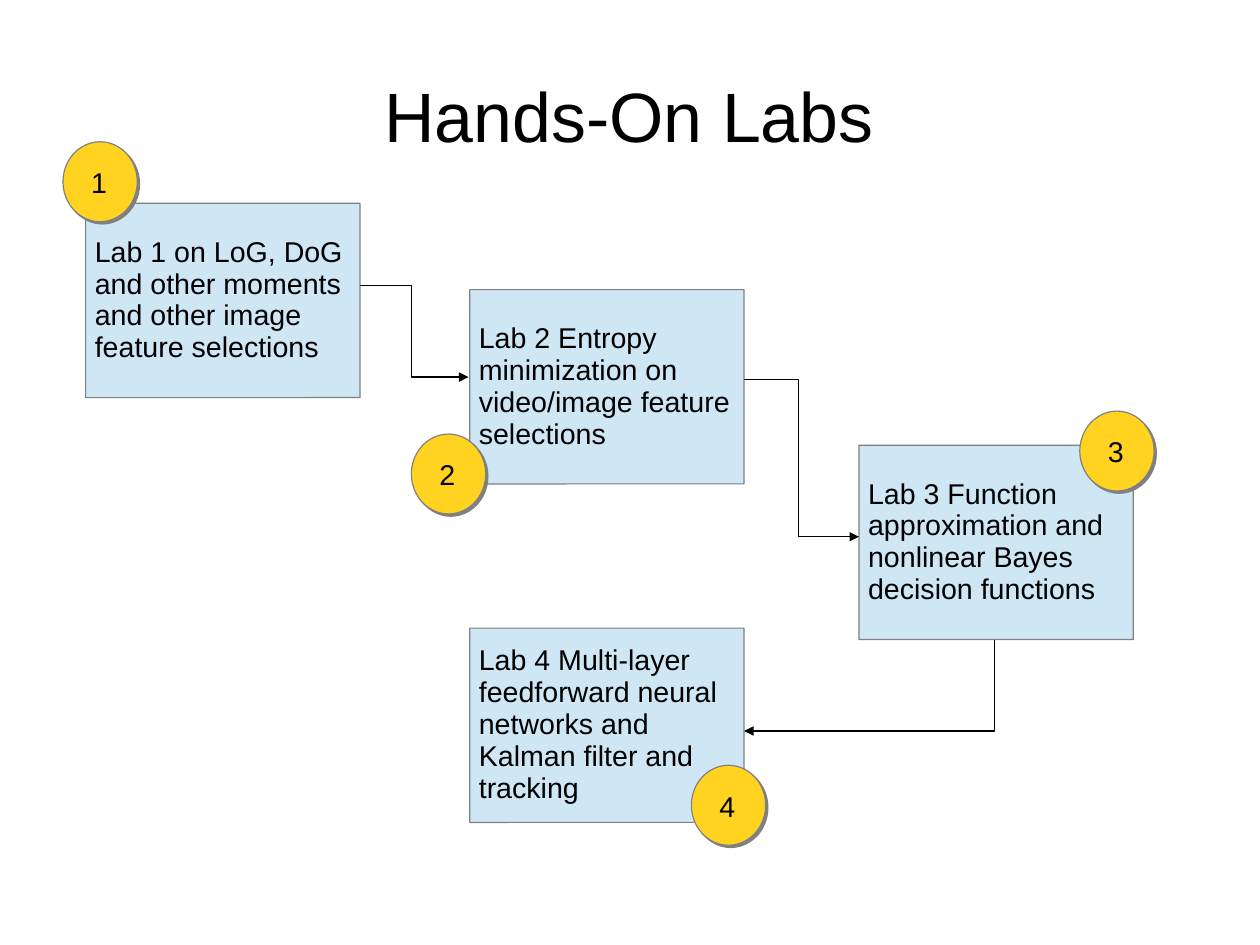
from lxml import etree
from pptx import Presentation
from pptx import util as u
from pptx.dml.color import RGBColor
from pptx.enum import shapes, text
from pptx.oxml import ns

SLIDE_W, SLIDE_H = u.Cm(28), u.Cm(21)
BLACK = RGBColor(0x00, 0x00, 0x00)
GREY = RGBColor(0x80, 0x80, 0x80)
PALE_BLUE = RGBColor(0xCF, 0xE7, 0xF5)
YELLOW = RGBColor(0xFF, 0xD3, 0x20)

# Positions and sizes are percentages of the slide's width and height.
LAB_SIZE = (21.78, 20.56)
BADGE_SIZE = (5.9, 8.46)
LABS = [  # text, box corner, badge corner
    ("Lab 1 on LoG, DoG and other moments and other image feature selections",
     (6.8, 21.52), (5, 15)),
    ("Lab 2 Entropy minimization on video/image feature selections",
     (37.28, 30.65), (32.65, 45.93)),
    ("Lab 3 Function approximation and nonlinear Bayes decision functions",
     (68.17, 47.12), (85.7, 43.5)),
    ("Lab 4 Multi-layer feedforward neural networks and Kalman filter and tracking",
     (37.28, 66.47), (54.87, 80.98)),
]
ROUTES = [
    [(28.58, 30.2), (32.65, 30.2), (32.65, 39.9), (37.18, 39.9)],
    [(59.06, 40.12), (63.4, 40.12), (63.4, 56.8), (68.17, 56.8)],
    [(78.92, 67.68), (78.92, 77.35), (59.06, 77.35)],
]

LAB_FRAME = dict(margin_left=u.Inches(0.08), margin_right=u.Inches(0.01),
                 margin_top=u.Inches(0.05), margin_bottom=u.Inches(0.05),
                 word_wrap=True)
BADGE_FRAME = dict(margin_left=0, margin_right=u.Inches(0.02),
                   margin_top=u.Inches(0.04), margin_bottom=0, word_wrap=False)
TITLE_FRAME = dict(margin_left=0, margin_right=0, margin_top=u.Inches(0.04),
                   margin_bottom=0, word_wrap=True,
                   auto_size=text.MSO_AUTO_SIZE.NONE)


def on_slide(pair):
    """Turn a pair of percentages into slide lengths."""
    return round(SLIDE_W * pair[0] / 100), round(SLIDE_H * pair[1] / 100)


def set_all(target, values):
    for name, value in values.items():
        setattr(target, name, value)


def write(shape, wording, size, align, frame_format):
    frame = shape.text_frame
    frame.text = wording
    set_all(frame, frame_format)
    frame.vertical_anchor = text.MSO_ANCHOR.MIDDLE
    paragraph = frame.paragraphs[0]
    set_all(paragraph, dict(alignment=align, line_spacing=0.93))
    font = paragraph.runs[0].font
    set_all(font, dict(name="Arial", size=u.Pt(size)))
    font.color.rgb = BLACK


def draw_line(shape, color):
    shape.shadow.inherit = False
    shape.line.color.rgb = color
    shape.line.width = u.Pt(0.75)


def add_filled(slide, preset, corner, size, fill):
    shape = slide.shapes.add_shape(preset, *on_slide(corner), *on_slide(size))
    shape.fill.solid()
    shape.fill.fore_color.rgb = fill
    draw_line(shape, GREY)
    return shape


def add_lab(slide, wording, corner):
    box = add_filled(slide, shapes.MSO_SHAPE.ROUNDED_RECTANGLE, corner,
                     LAB_SIZE, PALE_BLUE)
    box.adjustments[0] = 0.001
    write(box, wording, 18, text.PP_ALIGN.LEFT, LAB_FRAME)


def add_badge(slide, number, corner):
    badge = add_filled(slide, shapes.MSO_SHAPE.OVAL, corner, BADGE_SIZE, YELLOW)
    write(badge, str(number), 18, text.PP_ALIGN.CENTER, BADGE_FRAME)
    effects = badge.element.spPr.find(ns.qn("a:effectLst"))
    shadow = etree.SubElement(effects, ns.qn("a:outerShdw"),
                              dist=str(u.Pt(2)), dir=str(45 * 60000),
                              algn="tl", rotWithShape="0")
    etree.SubElement(shadow, ns.qn("a:srgbClr"), val=str(GREY))


def add_route(slide, points):
    """Draw an open bent line with an arrowhead at its last point."""
    start, *bends = [on_slide(point) for point in points]
    builder = slide.shapes.build_freeform(*start)
    builder.add_line_segments(bends, close=False)
    route = builder.convert_to_shape()
    route.fill.background()
    draw_line(route, BLACK)
    etree.SubElement(route.line._get_or_add_ln(), ns.qn("a:tailEnd"),
                     type="triangle")


def add_title(slide, wording):
    title = slide.shapes.title
    title.left, title.top = on_slide((4.95, 4))
    title.width, title.height = on_slide((90, 16.7))
    write(title, wording, 44, text.PP_ALIGN.CENTER, TITLE_FRAME)


def main():
    deck = Presentation()
    deck.slide_width = SLIDE_W
    deck.slide_height = SLIDE_H
    slide = deck.slides.add_slide(deck.slide_layouts.get_by_name("Title Only"))
    add_title(slide, "Hands-On Labs")
    for wording, corner, _ in LABS:
        add_lab(slide, wording, corner)
    for points in ROUTES:
        add_route(slide, points)
    for number, (_, _, corner) in enumerate(LABS, start=1):
        add_badge(slide, number, corner)
    deck.save("out.pptx")


if __name__ == "__main__":
    main()
